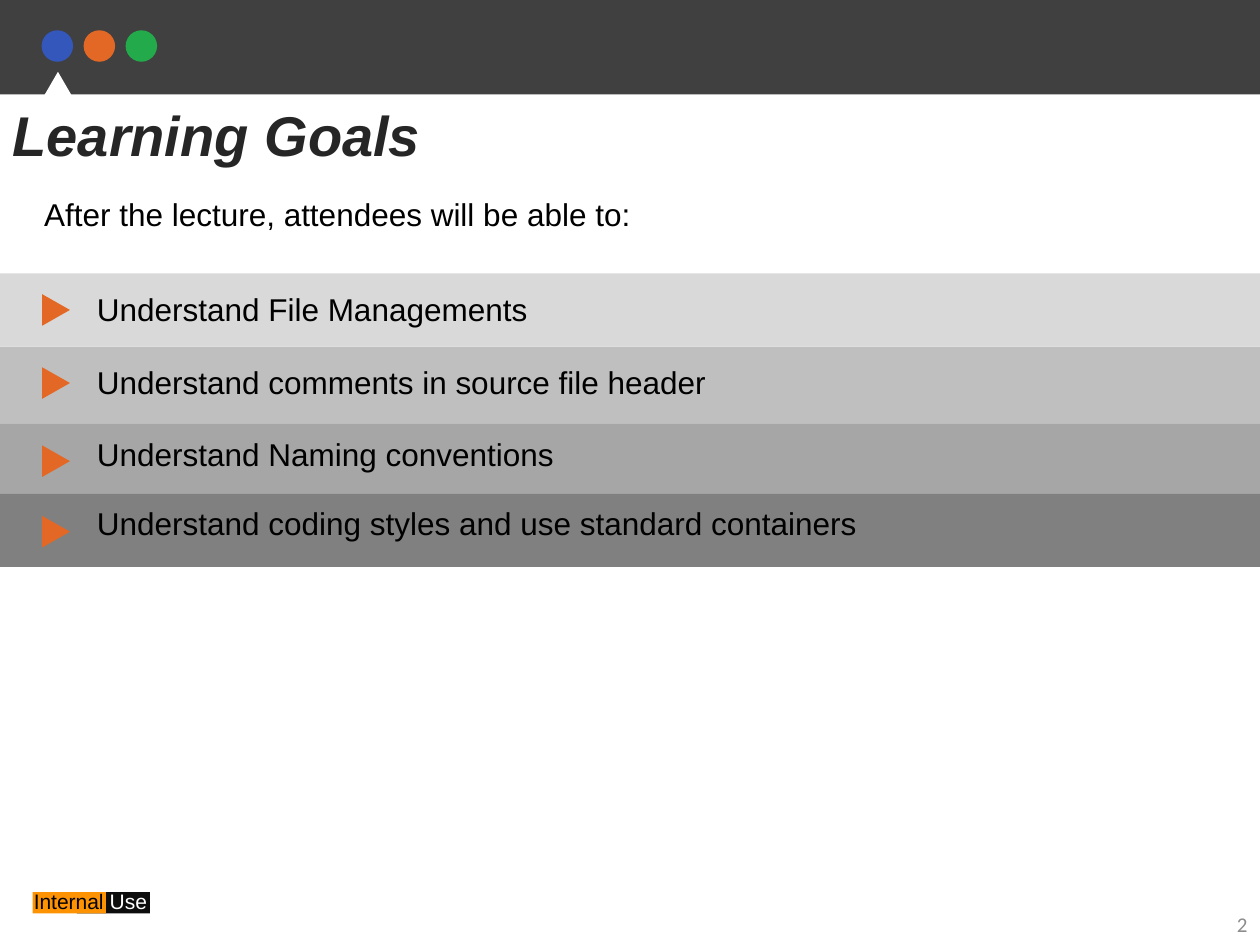
import pptx
import pptx.util
import pptx.dml.color
import pptx.enum.shapes
import pptx.enum.text
from dataclasses import dataclass
from lxml import etree

Inches = pptx.util.Inches
SHAPE = pptx.enum.shapes.MSO_SHAPE
ALIGN = pptx.enum.text.PP_ALIGN
ANCHOR = pptx.enum.text.MSO_ANCHOR

TITLE = "Learning Goals"
INTRO = "After the lecture, attendees will be able to:"
PAGE = "2"

# goal, band top, band height, band colour, arrow top, text top
GOALS = [
    ("Understand File Managements", 2.17, 0.58, "D9D9D9", 2.35, 2.25),
    ("Understand comments in source file header", 2.75, 0.61, "BFBFBF", 2.93, 2.83),
    ("Understand Naming conventions", 3.36, 0.58, "A6A6A6", 3.55, 3.4),
    ("Understand coding styles and use standard containers", 3.92, 0.58, "808080", 4.11, 3.95),
]


@dataclass(frozen=True)
class Theme:
    """Colours, fonts and type sizes of the slide."""
    header: str = "404040"
    dots: tuple = ("3357BB", "E46825", "23AA4A")
    arrow: str = "E46825"
    white: str = "FFFFFF"
    black: str = "000000"
    title: str = "262626"
    page: str = "8C8C8C"
    tag_dark: str = "0D0D0D"
    tag_bright: str = "FD9203"
    font: str = "Arial"
    page_font: str = "Calibri"
    title_size: int = 32
    body_size: int = 18
    small_size: int = 12


T = Theme()


def rgb(value):
    """Turn a hex string into a colour."""
    return pptx.dml.color.RGBColor.from_string(value)


def add_block(s, kind, box, colour, rotation=0):
    """Add a plain filled shape without outline or shadow."""
    sp = s.shapes.add_shape(kind, *map(Inches, box))
    sp.fill.solid()
    sp.fill.fore_color.rgb = rgb(colour)
    sp.line.fill.background()
    sp.shadow.inherit = False
    sp.rotation = rotation


def style_run(r, size, colour, font=T.font, bold=False, italic=False):
    """Format one run."""
    f = r.font
    f.name, f.size, f.bold, f.italic = font, pptx.util.Pt(size), bold, italic
    f.color.rgb = rgb(colour)


def write(sp, text, size, colour, align=ALIGN.LEFT, anchor=ANCHOR.TOP, **style):
    """Put one formatted paragraph in a shape."""
    tf = sp.text_frame
    tf.word_wrap = True
    tf.auto_size = pptx.enum.text.MSO_AUTO_SIZE.NONE
    tf.vertical_anchor = anchor
    tf.text = text
    p = tf.paragraphs[0]
    p.alignment = align
    p.space_before = pptx.util.Pt(0)
    style_run(p.runs[0], size, colour, **style)
    return p


def add_text(s, box, *args, **kwargs):
    """Add a text box holding one paragraph."""
    return write(s.shapes.add_textbox(*map(Inches, box)), *args, **kwargs)


def place(sp, box):
    """Move a placeholder and bring it to the front."""
    sp.left, sp.top, sp.width, sp.height = map(Inches, box)
    sp.element.getparent().append(sp.element)


def remove_bullet(p):
    """Drop the bullet and hanging indent of a body paragraph."""
    pPr = p.runs[0].font._element.getparent().getparent().get_or_add_pPr()
    pPr.set("marL", "0")
    pPr.set("indent", "0")
    etree.SubElement(pPr, pptx.oxml.ns.qn("a:buNone"))


def add_header(s):
    """Draw the dark bar, its three dots and the pointer."""
    add_block(s, SHAPE.RECTANGLE, (0, 0, 10, 0.75), T.header)
    for i, colour in enumerate(T.dots):
        add_block(s, SHAPE.OVAL, (0.33 + i / 3, 0.24, 0.25, 0.25), colour)
    add_block(s, SHAPE.ISOSCELES_TRIANGLE, (0.17, 0.57, 0.58, 0.5), T.white)


def add_footer(s):
    """Draw the two-tone usage tag and the page number."""
    for left, colour in ((0.61, T.tag_dark), (0.26, T.tag_bright)):
        add_block(s, SHAPE.RECTANGLE, (left, 7.08, 0.58, 0.17), colour)
    p = add_text(s, (0.17, 7, 1.5, 0.3), "Internal ", T.small_size, T.black)
    r = p.add_run()
    r.text = "Use"
    style_run(r, T.small_size, T.white)
    add_text(s, (7.67, 7.17, 2.33, 0.33), PAGE, T.small_size, T.page,
             align=ALIGN.RIGHT, anchor=ANCHOR.MIDDLE, font=T.page_font)


def add_goals(s):
    """Draw one band, arrow and line of text per goal."""
    for _, top, height, colour, _, _ in GOALS:
        add_block(s, SHAPE.RECTANGLE, (0, top, 10, height), colour)
    for goal, _, _, _, arrow_top, text_top in GOALS:
        add_block(s, SHAPE.ISOSCELES_TRIANGLE, (0.32, arrow_top, 0.25, 0.22), T.arrow, 90)
        add_text(s, (0.67, text_top, 8.92, 0.4), goal, T.body_size, T.black)


def main():
    """Build and save the slide."""
    prs = pptx.Presentation()
    prs.slide_width, prs.slide_height = Inches(10), Inches(7.5)
    s = prs.slides.add_slide(prs.slide_layouts[1])
    title, body = s.shapes.title, s.placeholders[1]

    add_header(s)
    add_footer(s)
    place(title, (0, 0.75, 4.67, 1.18))
    write(title, TITLE, T.title_size, T.title, bold=True, italic=True)
    place(body, (0.25, 1.5, 7, 0.5))
    remove_bullet(write(body, INTRO, T.body_size, T.black))
    add_goals(s)
    prs.save("out.pptx")


main()
